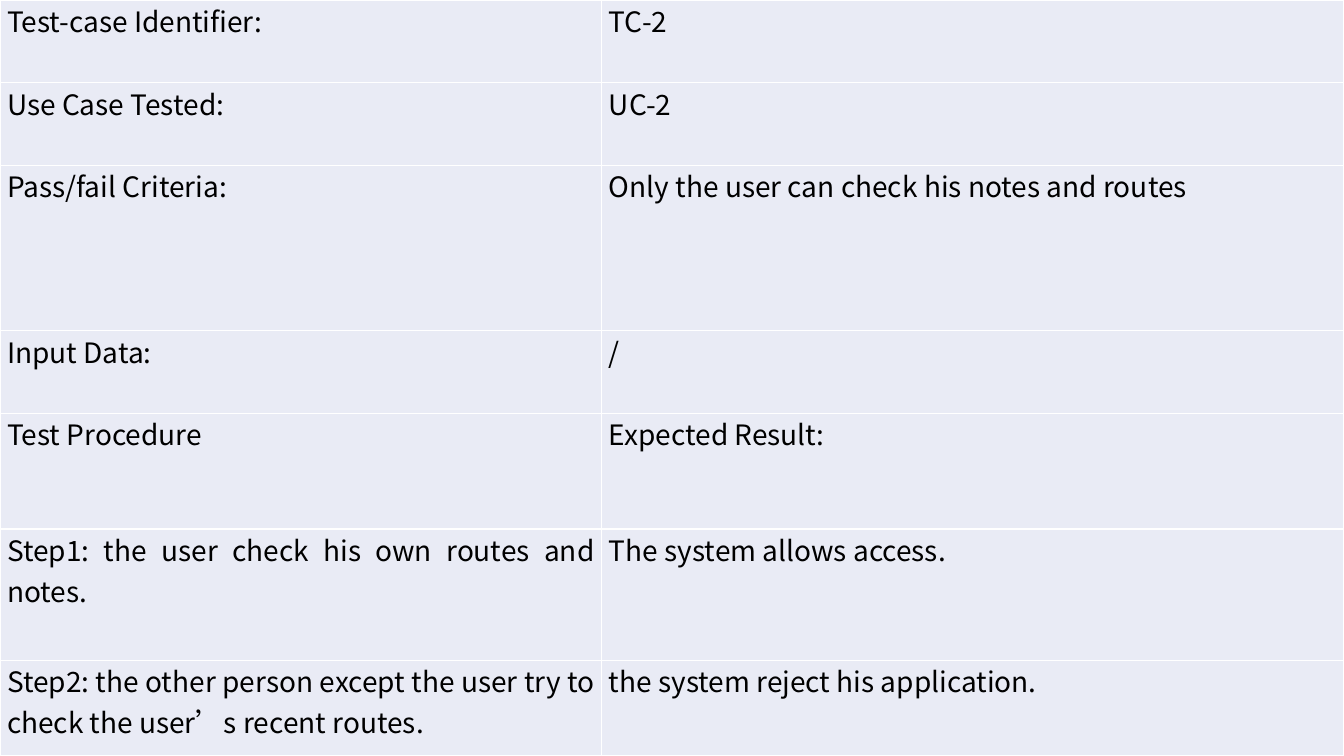
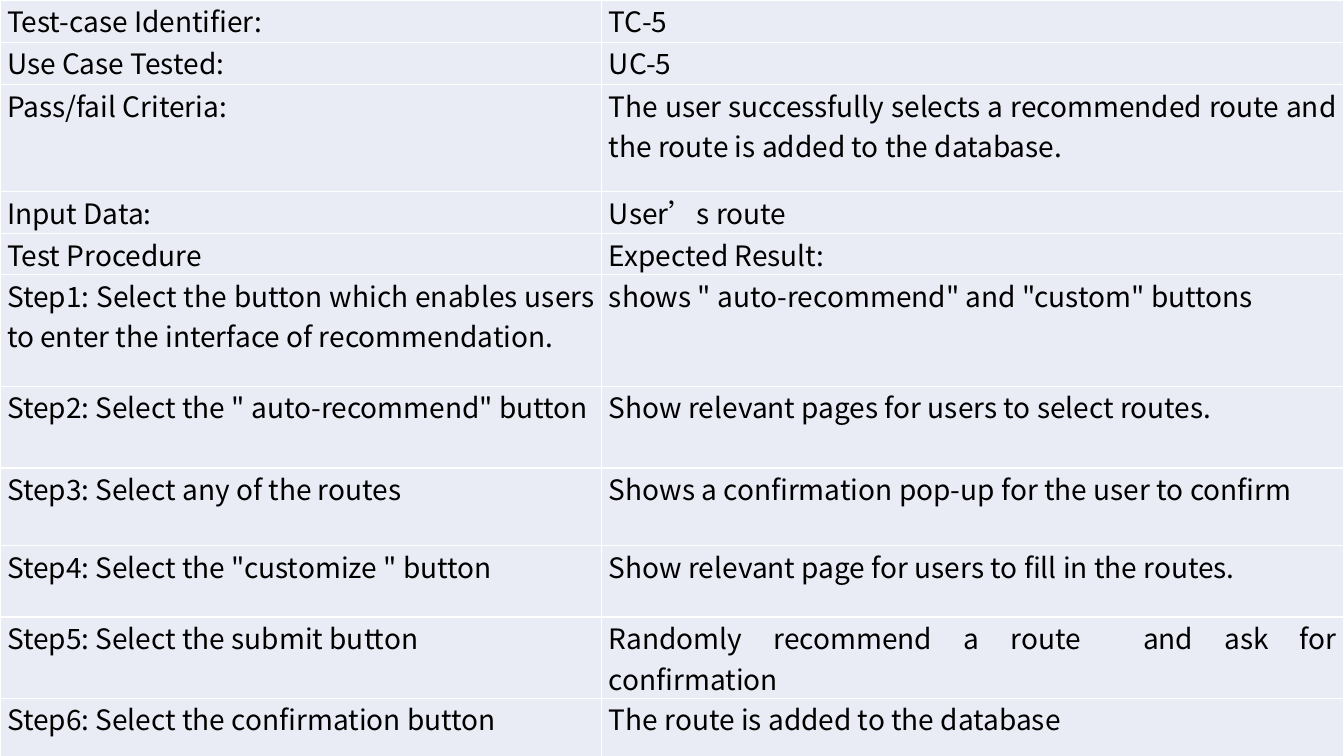
from dataclasses import dataclass

from lxml.etree import SubElement
from pptx import Presentation
from pptx.dml.color import RGBColor
from pptx.enum.text import MSO_ANCHOR, PP_ALIGN
from pptx.oxml.ns import qn
from pptx.util import Inches, Pt


@dataclass(frozen=True)
class Theme:
    font: str = "Noto Sans CJK SC"
    text_size: int = 20
    text: str = "000000"
    cell_fill: str = "E9EBF5"
    border: str = "FFFFFF"
    border_width: int = 1
    cell_margin: float = 0.07


THEME = Theme()
SLIDE_WIDTH, SLIDE_HEIGHT = 13.33, 7.5
COLUMN_WIDTHS = (5.97, 7.36)

# Each row: height in inches, left text, right text
ACCESS_TEST = [
    (0.82, "Test-case Identifier:", "TC-2"),
    (0.82, "Use Case Tested:", "UC-2"),
    (1.64, "Pass/fail Criteria:", "Only the user can check his notes and routes"),
    (0.82, "Input Data:", "/"),
    (1.15, "Test Procedure", "Expected Result:"),
    (1.3, "Step1: the user check his own routes and notes.", "The system allows access."),
    (0.95, "Step2: the other person except the user try to check the user’s recent routes.",
     "the system reject his application."),
]
RECOMMENDATION_TEST = [
    (0.42, "Test-case Identifier:", "TC-5"),
    (0.42, "Use Case Tested:", "UC-5"),
    (1.06, "Pass/fail Criteria:",
     "The user successfully selects a recommended route and the route is added to the database."),
    (0.42, "Input Data:", "User’s route"),
    (0.37, "Test Procedure", "Expected Result:"),
    (1.11, "Step1: Select the button which enables users to enter the interface of recommendation.",
     'shows " auto-recommend" and "custom" buttons'),
    (0.81, 'Step2: Select the " auto-recommend" button',
     "Show relevant pages for users to select routes."),
    (0.77, "Step3: Select any of the routes",
     "Shows a confirmation pop-up for the user to confirm"),
    (0.71, 'Step4: Select the "customize " button',
     "Show relevant page for users to fill in the routes."),
    (0.71, "Step5: Select the submit button",
     "Randomly recommend a route  and ask for confirmation"),
    (0.71, "Step6: Select the confirmation button", "The route is added to the database"),
]


def write_text(frame, text, *, size, color, font, align):
    paragraph = frame.paragraphs[0]
    paragraph.alignment = align
    run = paragraph.add_run()
    run.text = text
    run.font.size = Pt(size)
    run.font.color.rgb = RGBColor.from_string(color)
    run.font.name = font
    # The East Asian font also shapes the curly apostrophe
    SubElement(run.font._element, qn("a:ea"), typeface=font)


def set_borders(cell, color, width):
    properties = cell._tc.get_or_add_tcPr()
    for position, side in enumerate(("a:lnL", "a:lnR", "a:lnT", "a:lnB")):
        line = SubElement(properties, qn(side), w=str(Pt(width)))
        SubElement(SubElement(line, qn("a:solidFill")), qn("a:srgbClr"), val=color)
        properties.insert(position, line)


class Deck:
    def __init__(self, theme):
        self.theme = theme
        self.presentation = Presentation()
        self.presentation.slide_width = Inches(SLIDE_WIDTH)
        self.presentation.slide_height = Inches(SLIDE_HEIGHT)
        self.slide = None

    def add_slide(self):
        self.slide = self.presentation.slides.add_slide(self.presentation.slide_layouts[6])

    def add_test_table(self, rows):
        """Fill the whole slide with a two-column test-case table."""
        shape = self.slide.shapes.add_table(
            len(rows), len(COLUMN_WIDTHS), 0, 0, Inches(SLIDE_WIDTH), Inches(SLIDE_HEIGHT))
        table = shape.table
        table.first_row = table.horz_banding = False
        for column, width in zip(table.columns, COLUMN_WIDTHS):
            column.width = Inches(width)
        for row, (height, *texts) in zip(table.rows, rows):
            row.height = Inches(height)
            for cell, text in zip(row.cells, texts):
                self.format_cell(cell, text)

    def format_cell(self, cell, text):
        theme = self.theme
        cell.margin_left = cell.margin_right = Inches(theme.cell_margin)
        cell.margin_top = cell.margin_bottom = 0
        cell.vertical_anchor = MSO_ANCHOR.TOP
        cell.fill.solid()
        cell.fill.fore_color.rgb = RGBColor.from_string(theme.cell_fill)
        set_borders(cell, theme.border, theme.border_width)
        write_text(cell.text_frame, text, size=theme.text_size, color=theme.text,
                   font=theme.font, align=PP_ALIGN.JUSTIFY)


def main():
    deck = Deck(THEME)
    for rows in (ACCESS_TEST, RECOMMENDATION_TEST):
        deck.add_slide()
        deck.add_test_table(rows)
    deck.presentation.save("out.pptx")


if __name__ == "__main__":
    main()
